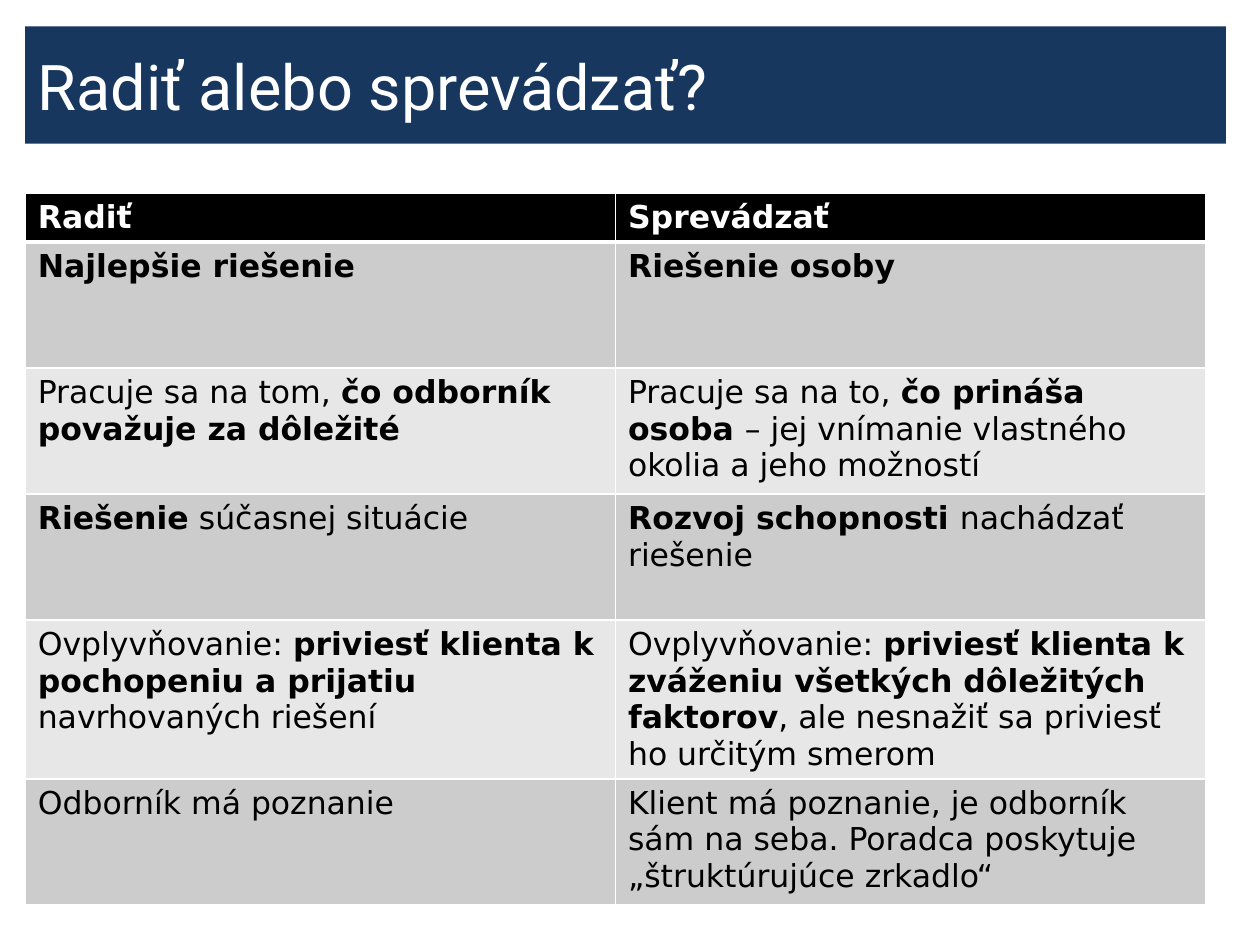
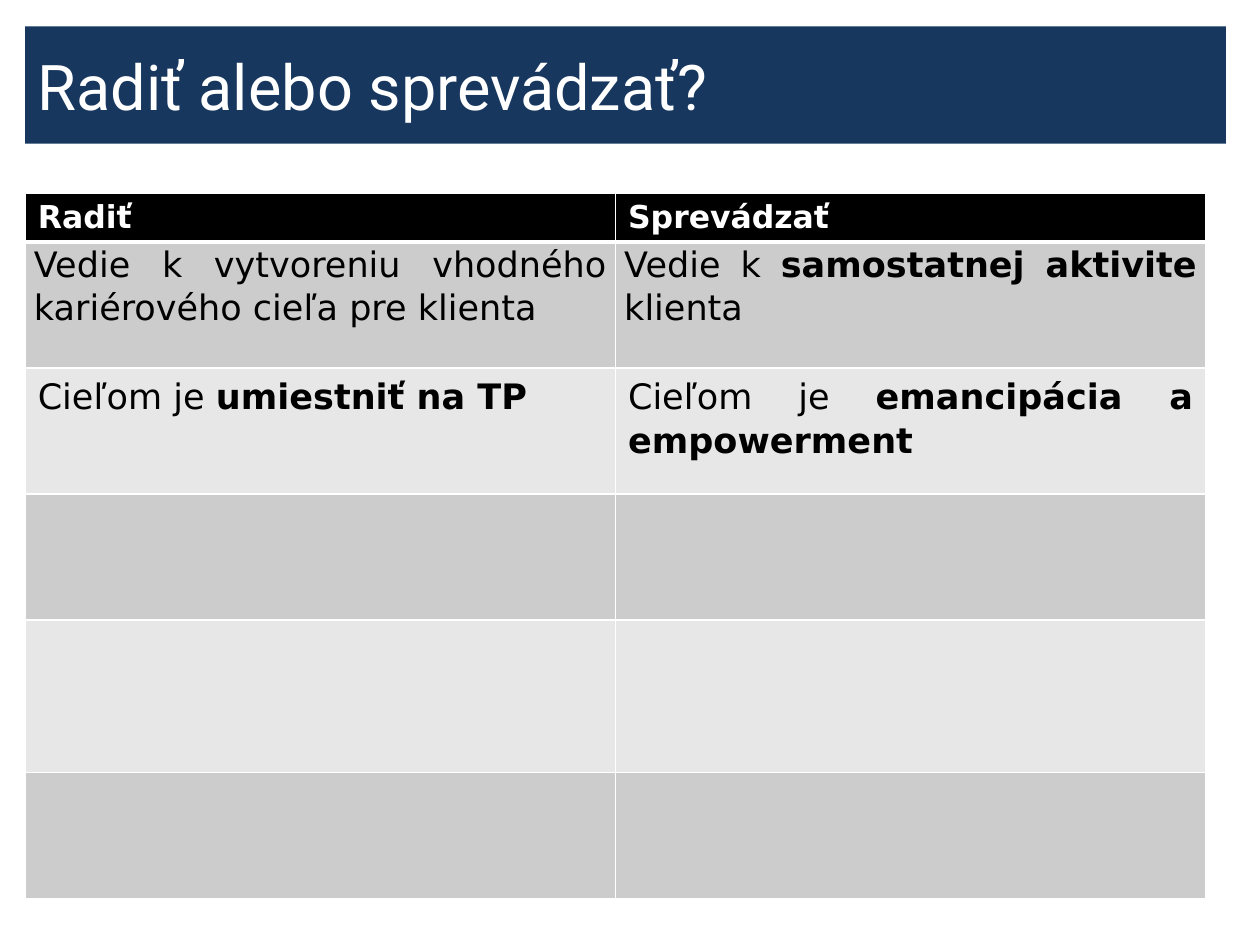
from lxml import etree
from pptx import Presentation
from pptx.dml.color import RGBColor
from pptx.enum.shapes import MSO_SHAPE
from pptx.enum.text import MSO_ANCHOR, PP_ALIGN
from pptx.oxml.ns import qn
from pptx.util import Inches, Pt

# Content: text between asterisks is bold
TITLE = "Radiť alebo sprevádzať?"
HEAD = ("*Radiť*", "*Sprevádzať*")
ADVICE = [
    HEAD,
    ("*Najlepšie riešenie*", "*Riešenie osoby*"),
    ("Pracuje sa na tom, *čo odborník považuje za dôležité*",
     "Pracuje sa na to, *čo prináša osoba *– jej vnímanie vlastného okolia a jeho možností"),
    ("*Riešenie* súčasnej situácie", "*Rozvoj schopnosti *nachádzať riešenie"),
    ("Ovplyvňovanie: *priviesť klienta k pochopeniu a prijatiu *navrhovaných riešení",
     "Ovplyvňovanie: *priviesť klienta k zváženiu všetkých dôležitých faktorov*"
     ", ale nesnažiť sa priviesť ho určitým smerom"),
    ("Odborník má poznanie",
     "Klient má poznanie, je odborník sám na seba. "
     "Poradca poskytuje „štruktúrujúce zrkadlo“"),
]
GOALS = [
    HEAD,
    ("Vedie k vytvoreniu vhodného kariérového cieľa pre klienta",
     "Vedie k *samostatnej aktivite *klienta"),
    ("Cieľom je *umiestniť na TP*", "Cieľom je *emancipácia a empowerment*"),
    ("", ""),
    ("", ""),
    ("", ""),
]
# Rows, body text size, justified, rows with tight margins
SLIDES = [(ADVICE, 18, False, ()), (GOALS, 20, True, (1,))]

# Shared style
NAVY = RGBColor(0x17, 0x37, 0x5E)
WHITE = RGBColor(0xFF, 0xFF, 0xFF)
BLACK = RGBColor(0, 0, 0)
DARK = RGBColor(0xCC, 0xCC, 0xCC)
LIGHT = RGBColor(0xE7, 0xE7, 0xE7)
TITLE_FONT, BODY_FONT = "Roboto", "DejaVu Sans"
RECT, MIDDLE, JUSTIFY = MSO_SHAPE.RECTANGLE, MSO_ANCHOR.MIDDLE, PP_ALIGN.JUSTIFY
LEFT = 0.2
COL = 4.685
HEIGHTS = (0.38, 1, 1, 1, 1.21, 1)


def add_run(para, text, font, size, color, bold=False):
    run = para.add_run()
    run.text = text
    run.font.name, run.font.size, run.font.bold = font, Pt(size), bold
    run.font.color.rgb = color


def add_title(slide):
    band = slide.shapes.add_shape(RECT, Inches(LEFT), Inches(0.21),
                                  Inches(9.53), Inches(0.93))
    band.shadow.inherit = False
    band.fill.solid()
    band.fill.fore_color.rgb = NAVY
    band.line.fill.background()
    frame = band.text_frame
    frame.word_wrap = True
    frame.vertical_anchor = MIDDLE
    para = frame.paragraphs[0]
    para.alignment = PP_ALIGN.LEFT
    add_run(para, TITLE, TITLE_FONT, 36, WHITE)


def add_borders(cell, row):
    # The rule under the header is thicker than the grid
    top, low = (3 if row == 1 else 1), (3 if row == 0 else 1)
    props = cell._tc.get_or_add_tcPr()
    for tag, width in (("lnL", 1), ("lnR", 1), ("lnT", top), ("lnB", low)):
        line = etree.SubElement(props, qn("a:" + tag), w=str(Pt(width)))
        fill = etree.SubElement(line, qn("a:solidFill"))
        etree.SubElement(fill, qn("a:srgbClr"), val=str(WHITE))


def fill_cell(cell, row, text, size, justified, tight):
    add_borders(cell, row)
    cell.fill.solid()
    cell.fill.fore_color.rgb = BLACK if row == 0 else DARK if row % 2 else LIGHT
    if tight:
        cell.margin_left = cell.margin_right = Inches(0.07)
        cell.margin_top = cell.margin_bottom = 0
    para = cell.text_frame.paragraphs[0]
    para.font.size = Pt(18)
    if row and justified:
        para.alignment = JUSTIFY
        para.line_spacing = 1.07
    for i, part in enumerate(text.split("*")):
        if part:
            add_run(para, part, BODY_FONT, size if row else 18,
                    BLACK if row else WHITE, i % 2 == 1)


def add_grid(slide, rows, size, justified, tight):
    table = slide.shapes.add_table(
        len(rows), len(HEAD), Inches(LEFT), Inches(1.53),
        Inches(COL * len(HEAD)), Inches(sum(HEIGHTS))).table
    for col in table.columns:
        col.width = Inches(COL)
    for r, texts in enumerate(rows):
        table.rows[r].height = Inches(HEIGHTS[r])
        for c, text in enumerate(texts):
            fill_cell(table.cell(r, c), r, text, size, justified, r in tight)


def main():
    deck = Presentation()
    deck.slide_width, deck.slide_height = Inches(10), Inches(7.5)
    for content in SLIDES:
        slide = deck.slides.add_slide(deck.slide_layouts[6])
        add_title(slide)
        add_grid(slide, *content)
    deck.save("out.pptx")


if __name__ == "__main__":
    main()
